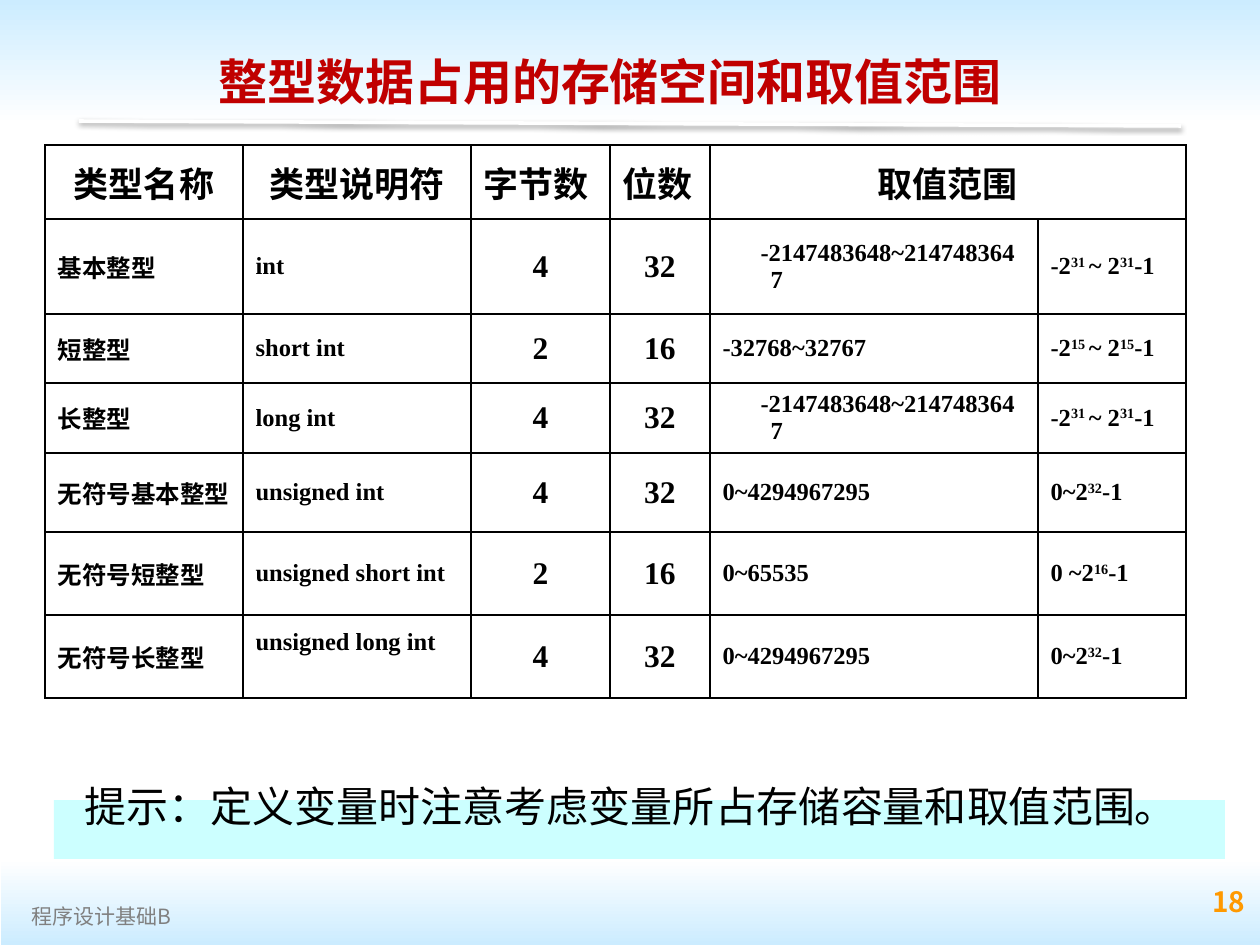
from dataclasses import dataclass

from lxml import etree
from pptx import Presentation, util as u
from pptx.dml.color import RGBColor
from pptx.enum import shapes, text
from pptx.oxml import parse_xml
from pptx.oxml.ns import nsdecls, qn

SCALE = 914400 / 126
LEFT, CENTER, RIGHT = text.PP_ALIGN.LEFT, text.PP_ALIGN.CENTER, text.PP_ALIGN.RIGHT
TOP, MIDDLE, BOTTOM = (text.MSO_ANCHOR.TOP, text.MSO_ANCHOR.MIDDLE,
                       text.MSO_ANCHOR.BOTTOM)


@dataclass(frozen=True)
class Theme:
    sans: str = "Noto Sans CJK SC"
    serif: str = "Times New Roman"
    black: str = "000000"
    white: str = "FFFFFF"
    sky: str = "CCECFF"
    aqua: str = "CCFFFF"
    red: str = "C00000"
    gray: str = "808080"
    orange: str = "FF9900"
    title: int = 28
    hint: int = 24
    header: int = 20
    count: int = 18
    number: int = 16
    body: int = 14
    footer: int = 12


THEME = Theme()
COLUMNS = [198, 228, 139, 100, 328, 148]
ROWS = [74, 95, 69, 70, 79, 83, 83]
HEADERS = ["类型名称", "类型说明符", "字节数", "位数", "取值范围"]
# Every second piece between carets is superscript.
INTEGER_TYPES = [
    ("基本整型", "int", "4", "32", "-2147483648~2147483647", "-2^31 ^~ 2^31^-1"),
    ("短整型", "short int", "2", "16", "-32768~32767", "-2^15 ^~ 2^15^-1"),
    ("长整型", "long int", "4", "32", "-2147483648~2147483647", "-2^31 ^~ 2^31^-1"),
    ("无符号基本整型", "unsigned int", "4", "32", "0~4294967295", "0~2^32^-1"),
    ("无符号短整型", "unsigned short int", "2", "16", "0~65535", "0 ~2^16^-1"),
    ("无符号长整型", "unsigned long int", "4", "32", "0~4294967295", "0~2^32^-1"),
]


def px(length):
    return u.Emu(round(length * SCALE))


def box_emu(box):
    return [px(length) for length in box]


def write(paragraph, wording, size, color, font=THEME.sans, bold=False, align=LEFT):
    """Fill a paragraph; pieces between carets become superscript."""
    for index, piece in enumerate(wording.split("^")):
        run = paragraph.add_run()
        run.text = piece
        if index % 2:
            run._r.get_or_add_rPr().set("baseline", "30000")
    paragraph.alignment = align
    paragraph.font.size = u.Pt(size)
    paragraph.font.bold = bold
    paragraph.font.name = font
    paragraph.font.color.rgb = RGBColor.from_string(color)
    defaults = paragraph._p.pPr.find(qn("a:defRPr"))
    etree.SubElement(defaults, qn("a:ea")).set("typeface", THEME.sans)


def set_frame(frame, anchor, left=13, top=6, right=13, bottom=6):
    frame.word_wrap = True
    frame.auto_size = text.MSO_AUTO_SIZE.NONE
    frame.vertical_anchor = anchor
    frame.margin_left, frame.margin_top = px(left), px(top)
    frame.margin_right, frame.margin_bottom = px(right), px(bottom)
    return frame.paragraphs[0]


def add_rectangle(slide, box):
    rectangle = slide.shapes.add_shape(shapes.MSO_SHAPE.RECTANGLE, *box_emu(box))
    rectangle.shadow.inherit = False
    rectangle.line.fill.background()
    return rectangle


def add_gradient_band(slide, box, top_color, bottom_color):
    fill = add_rectangle(slide, box).fill
    fill.gradient()
    fill.gradient_angle = 270
    for stop, color in zip(fill.gradient_stops, (top_color, bottom_color)):
        stop.color.rgb = RGBColor.from_string(color)


def add_title_rule(slide, box):
    left, top, width, height = box
    rule = slide.shapes.add_connector(
        shapes.MSO_CONNECTOR.STRAIGHT,
        *box_emu((left, top, left + width, top + height)))
    rule.line.color.rgb = RGBColor.from_string(THEME.white)
    rule.line.width = u.Pt(2)
    rule._element.spPr.append(parse_xml(
        f'<a:effectLst {nsdecls("a")}><a:outerShdw blurRad="39370" dist="20320" '
        f'dir="5400000" rotWithShape="0"><a:srgbClr val="{THEME.black}">'
        '<a:alpha val="38000"/></a:srgbClr></a:outerShdw></a:effectLst>'))


def add_title(slide, box):
    title = slide.shapes.title
    title.left, title.top, title.width, title.height = box_emu(box)
    slide.shapes._spTree.append(title._element)  # in front of the bands
    write(set_frame(title.text_frame, MIDDLE), "整型数据占用的存储空间和取值范围",
          THEME.title, THEME.red, bold=True, align=CENTER)


def add_label(slide, box, wording, size, color, top=6, **style):
    label = slide.shapes.add_textbox(*box_emu(box))
    write(set_frame(label.text_frame, TOP, top=top), wording, size, color, **style)


def set_borders(cell):
    properties = cell._tc.get_or_add_tcPr()
    for side in ("lnL", "lnR", "lnT", "lnB"):
        properties.append(parse_xml(
            f'<a:{side} {nsdecls("a")} w="12700"><a:solidFill>'
            f'<a:srgbClr val="{THEME.black}"/></a:solidFill></a:{side}>'))


def write_cell(cell, wording, size, align=LEFT, first_indent=-48):
    cell.vertical_anchor = MIDDLE
    paragraph = cell.text_frame.paragraphs[0]
    properties = paragraph._p.get_or_add_pPr()
    properties.set("marL", str(px(48)))
    properties.set("indent", str(px(first_indent)))
    write(paragraph, wording, size, THEME.black, THEME.serif, True, align)


def add_type_table(slide, box):
    table = slide.shapes.add_table(len(ROWS), len(COLUMNS), *box_emu(box)).table
    table.first_row = table.horz_banding = False
    for column, width in zip(table.columns, COLUMNS):
        column.width = px(width)
    for row, height in zip(table.rows, ROWS):
        row.height = px(height)
    for cell in table.iter_cells():
        set_borders(cell)
        cell.fill.background()
    table.cell(0, 4).merge(table.cell(0, 5))

    for column, header in enumerate(HEADERS):
        write_cell(table.cell(0, column), header, THEME.header,
                   LEFT if column in (2, 3) else CENTER)
    for row, values in enumerate(INTEGER_TYPES, 1):
        for column, value in enumerate(values):
            is_count = column in (2, 3)
            is_long_range = column == 4 and value.startswith("-2147")
            write_cell(table.cell(row, column), value,
                       THEME.count if is_count else THEME.body,
                       CENTER if is_count else LEFT,
                       -10 if is_long_range else -48)
    table.cell(len(ROWS) - 1, 1).margin_bottom = px(34)


def add_hint(slide, box):
    """The wording rises above the top edge of its bar."""
    bar = add_rectangle(slide, box)
    bar.fill.solid()
    bar.fill.fore_color.rgb = RGBColor.from_string(THEME.aqua)
    paragraph = set_frame(bar.text_frame, BOTTOM, left=31, bottom=27)
    paragraph.line_spacing = 0.9
    write(paragraph, "提示：定义变量时注意考虑变量所占存储容量和取值范围。",
          THEME.hint, THEME.black)


def main():
    deck = Presentation()
    deck.slide_width, deck.slide_height = px(1260), px(945)
    slide = deck.slides.add_slide(deck.slide_layouts[5])
    add_gradient_band(slide, (0, 0, 1260, 125), THEME.sky, THEME.white)
    add_gradient_band(slide, (1, 859, 1260, 86), THEME.white, THEME.sky)
    add_title_rule(slide, (79, 121, 1102, 5))
    add_label(slide, (19, 901, 205, 30), "程序设计基础B", THEME.footer, THEME.gray, top=3)
    add_type_table(slide, (45, 145, sum(COLUMNS), sum(ROWS)))
    add_label(slide, (937, 879, 321, 49), "18", THEME.number, THEME.orange,
              bold=True, align=RIGHT)
    add_title(slide, (84, 45, 1052, 72))
    add_hint(slide, (54, 800, 1171, 59))
    deck.save("out.pptx")


if __name__ == "__main__":
    main()
